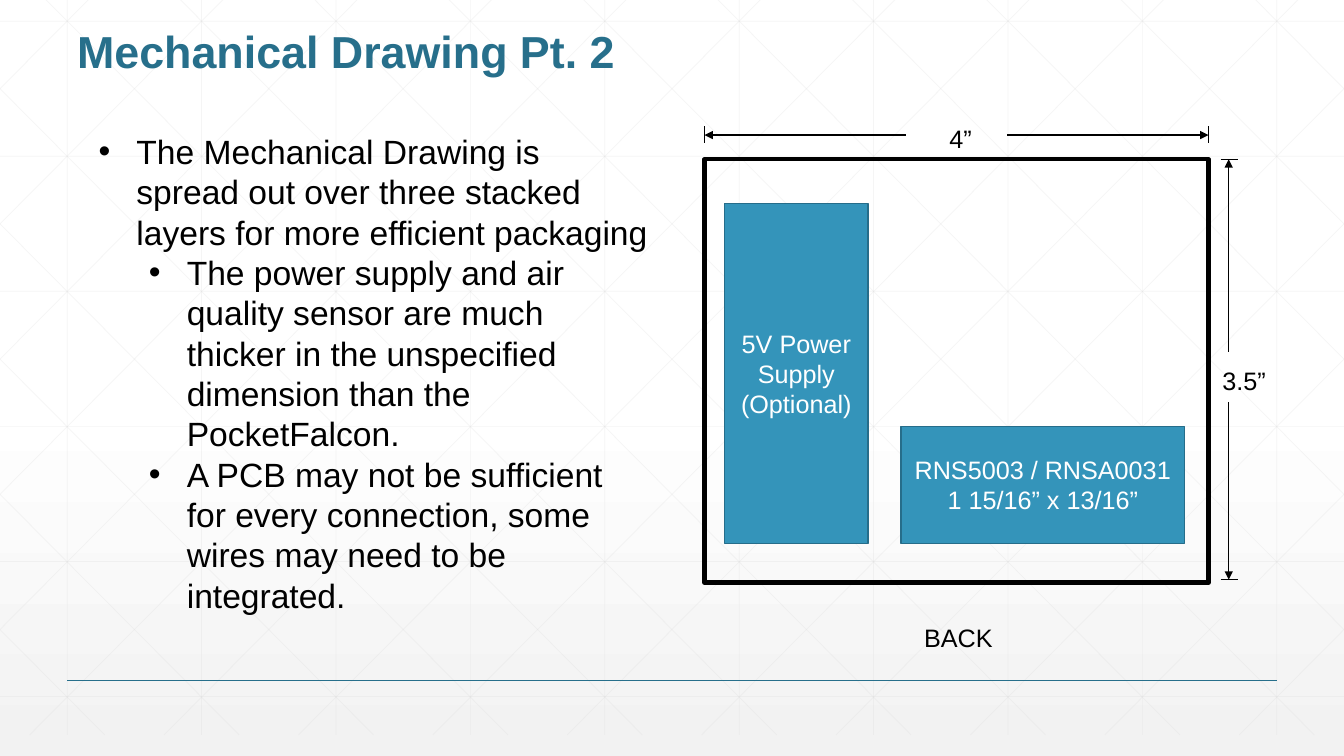
"""Builds the mechanical drawing slide on a grid of 160 columns by 90 rows."""
from typing import NamedTuple

from lxml import etree
from pptx import Presentation, util as u
from pptx.dml.color import RGBColor
from pptx.enum import shapes, text
from pptx.oxml.ns import qn

COLUMNS, ROWS = 160, 90
CELL = u.Inches(1) / 12
COLORS = {
    "ink": "000000", "paper": "FFFFFF", "haze": "F2F2F2", "mesh": "D9D9D9",
    "heading": "276F8B", "block": "3494BA", "block_edge": "266D8A",
}


class Box(NamedTuple):
    left: float
    top: float
    width: float
    height: float


class Stroke(NamedTuple):
    start: tuple[float, float]
    end: tuple[float, float]
    color: str = "ink"
    weight: float = 1
    opacity: int = 100
    arrow: bool = False


class Entry(NamedTuple):
    words: str
    level: int = 0
    indent: float = 0


class Label(NamedTuple):
    box: Box
    entries: list[Entry]
    size: int = 18
    color: str = "ink"
    bold: bool = False
    spacing: float | None = None


class Part(NamedTuple):
    box: Box
    lines: list[str]
    fill: str | None
    edge: str
    weight: float


def cells(count: float) -> u.Emu:
    """Convert grid cells to slide units."""
    return u.Emu(round(count * CELL))


def rgb(name: str) -> RGBColor:
    """Look up a named colour."""
    return RGBColor.from_string(COLORS[name])


def apply(target, values: dict) -> None:
    """Set every attribute listed in values on the target."""
    for name, value in values.items():
        setattr(target, name, value)


def draw_stroke(slide, stroke: Stroke) -> None:
    """Draw a straight line, with an arrowhead at its start if asked."""
    ends = map(cells, (*stroke.start, *stroke.end))
    segment = slide.shapes.add_connector(shapes.MSO_CONNECTOR.STRAIGHT, *ends)
    segment.line.color.rgb = rgb(stroke.color)
    segment.line.width = u.Pt(stroke.weight)
    outline = segment.line._get_or_add_ln()
    if stroke.opacity < 100:
        tint = outline.find(".//" + qn("a:srgbClr"))
        etree.SubElement(tint, qn("a:alpha"), val=str(stroke.opacity * 1000))
    if stroke.arrow:
        etree.SubElement(outline, qn("a:headEnd"), type="triangle")
    etree.SubElement(segment._element.spPr, qn("a:effectLst"))


def write(paragraph, words: str, size: int, color: str, bold: bool = False) -> None:
    """Add one formatted run to a paragraph."""
    run = paragraph.add_run()
    run.text = words
    apply(run.font, {"name": "Arial", "size": u.Pt(size), "bold": bold})
    run.font.color.rgb = rgb(color)


def add_bullet(paragraph, indent: float) -> None:
    """Give a paragraph a hanging bullet at the indent."""
    props = paragraph._p.get_or_add_pPr()
    props.set("marL", str(cells(indent)))
    props.set("indent", str(-cells(4.5)))
    etree.SubElement(props, qn("a:buFont"), typeface="Arial")
    etree.SubElement(props, qn("a:buChar"), char="•")


def draw_label(slide, label: Label) -> None:
    """Draw a text box with one paragraph per entry."""
    frame = slide.shapes.add_textbox(*map(cells, label.box)).text_frame
    frame.word_wrap = True
    for index, entry in enumerate(label.entries):
        paragraph = frame.add_paragraph() if index else frame.paragraphs[0]
        apply(paragraph, {"level": entry.level, "line_spacing": label.spacing})
        if entry.indent:
            add_bullet(paragraph, entry.indent)
        write(paragraph, entry.words, label.size, label.color, label.bold)


def draw_part(slide, part: Part) -> None:
    """Draw a rectangle of the mechanical drawing with centred text."""
    block = slide.shapes.add_shape(shapes.MSO_SHAPE.RECTANGLE, *map(cells, part.box))
    block.shadow.inherit = False
    if part.fill:
        block.fill.solid()
        block.fill.fore_color.rgb = rgb(part.fill)
    else:
        block.fill.background()
    block.line.color.rgb = rgb(part.edge)
    block.line.width = u.Pt(part.weight)
    frame = block.text_frame
    apply(frame, {"word_wrap": True, "vertical_anchor": text.MSO_ANCHOR.MIDDLE})
    for index, words in enumerate(part.lines):
        paragraph = frame.add_paragraph() if index else frame.paragraphs[0]
        paragraph.alignment = text.PP_ALIGN.CENTER
        write(paragraph, words, 18, "paper")


def mesh_strokes() -> list[Stroke]:
    """List the faint upright, level and diagonal lines behind the content."""
    pitch, top, height, run = 16, -2.52, 90, 89.46
    spans = [((8 + pitch * i, top), (8 + pitch * i, top + height)) for i in range(10)]
    spans += [((0, 2.52 + 16.08 * i), (COLUMNS, 2.52 + 16.08 * i)) for i in range(6)]
    for i in range(-5, 10):
        origin = 3 + pitch * i
        left, right = max(origin, 0), min(origin + run, COLUMNS)
        high, low = (top + (x - origin) * height / run for x in (left, right))
        spans.append(((left, high), (right, low)))
        spans.append(((COLUMNS - left, high), (COLUMNS - right, low)))
    return [Stroke(start, end, "mesh", 0.5, 25) for start, end in spans]


def dimension_strokes(board: Box) -> list[Stroke]:
    """List the arrows and end ticks that measure the board."""
    right, bottom = board.left + board.width, 69
    across, down = 16.08, 146.28
    arrows = [
        ((board.left, across), (board.left + 24, across)),
        ((right, across), (right - 24, across)),
        ((down, board.top), (down, 41.88)),
        ((down, bottom), (down, 47.88)),
    ]
    ticks = [((x, 15), (x, 17.04)) for x in (board.left, right)]
    ticks += [((145.32, y), (147.36, y)) for y in (board.top, bottom)]
    return [Stroke(*ends, arrow=True) for ends in arrows] + [Stroke(*ends) for ends in ticks]


def main() -> None:
    """Build and save the slide."""
    deck = Presentation()
    apply(deck, {"slide_width": cells(COLUMNS), "slide_height": cells(ROWS)})
    slide = deck.slides.add_slide(deck.slide_layouts[6])
    backdrop = slide.background.fill
    backdrop.gradient()
    backdrop.gradient_angle = 270
    for stop, (position, color) in zip(backdrop.gradient_stops, [(0.53, "paper"), (1, "haze")]):
        stop.position = position
        stop.color.rgb = rgb(color)

    board = Box(83.88, 18.96, 60, 50.4)
    footer_rule = Stroke((8, 81), (152, 81), "heading")
    for stroke in [*mesh_strokes(), footer_rule, *dimension_strokes(board)]:
        draw_stroke(slide, stroke)

    sensor = ["RNS5003 / RNSA0031", "1 15/16” x 13/16”"]
    supply = ["5V Power Supply (Optional)"]
    for part in [
        Part(board, [], None, "ink", 3),
        Part(Box(107.28, 50.76, 33.72, 13.92), sensor, "block", "block_edge", 1),
        Part(Box(86.28, 24.24, 17.04, 40.44), supply, "block", "block_edge", 1),
    ]:
        draw_part(slide, part)

    notes = [
        Entry("The Mechanical Drawing is spread out over three stacked layers "
              "for more efficient packaging", 0, 4.5),
        Entry("The power supply and air quality sensor are much thicker in the "
              "unspecified dimension than the PocketFalcon.", 1, 10.5),
        Entry("A PCB may not be sufficient for every connection, some wires "
              "may need to be integrated.", 1, 10.5),
    ]
    for label in [
        Label(Box(8, 3, 144, 12), [Entry("Mechanical Drawing Pt. 2")], 32, "heading", True, 0.9),
        Label(Box(111.84, 14.04, 5.16, 4.8), [Entry("4”")]),
        Label(Box(144.36, 42.96, 7.68, 4.8), [Entry("3.5”")]),
        Label(Box(108.84, 73.44, 13.92, 4.8), [Entry("BACK")]),
        Label(Box(10.56, 15, 68.04, 59.4), notes, 24),
    ]:
        draw_label(slide, label)
    deck.save("out.pptx")


if __name__ == "__main__":
    main()
